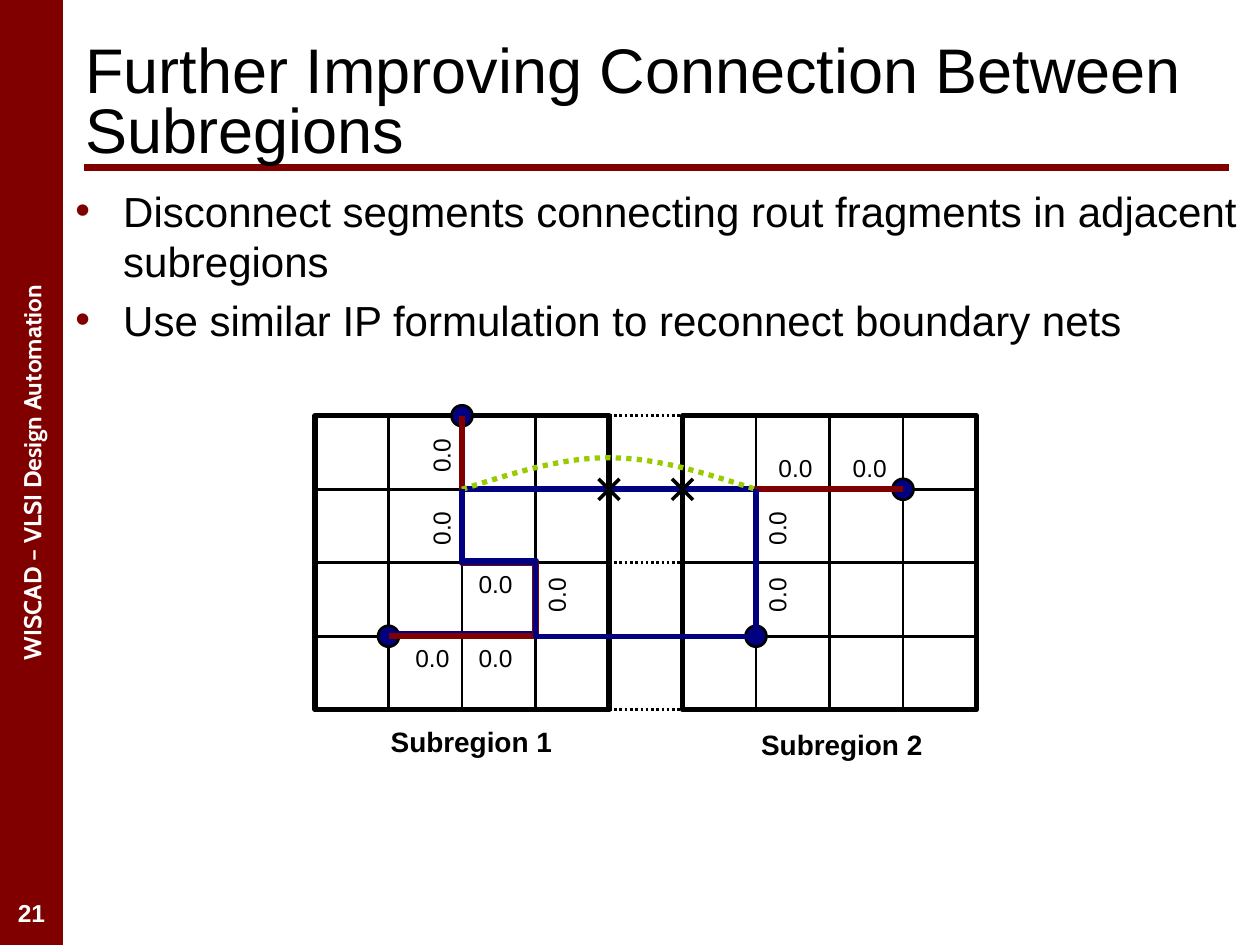
"""Builds a slide on reconnecting routes between two subregions."""
from lxml.etree import SubElement
from pptx import Presentation
from pptx.dml.color import RGBColor
from pptx.enum.dml import MSO_LINE
from pptx.enum.shapes import MSO_CONNECTOR, MSO_SHAPE
from pptx.enum.text import MSO_ANCHOR, PP_ALIGN
from pptx.oxml.ns import qn
from pptx.util import Inches, Pt

HUES = {"red": "800000", "navy": "000080", "lime": "99CC00",
        "black": "000000", "white": "FFFFFF"}
TITLE = "Further Improving Connection Between Subregions"
SIDE = "WISCAD – VLSI Design Automation"
PAGE = "21"
POINTS = ["Disconnect segments connecting rout fragments in adjacent subregions",
          "Use similar IP formulation to reconnect boundary nets"]

LEFT, TOP, STEP = 2.5, 3.3, 7 / 12
SIZE = 4
STARTS = [5, 0]
PINS = [(1, 3), (8, 1), (2, 0), (6, 3)]
CUTS = [(4, 1), (5, 1)]
MARK = 1 / 7
LOWER = [(1, 3), (3, 3), (3, 2), (2, 2), (2, 0)]
UPPER = [(8, 1), (6, 1), (6, 3)]
LINK = [(2, 1), (6, 1)]
DETOUR = [(2, 1), (2, 2), (3, 2), (3, 3), (6, 3), (6, 1)]
ARC = [[(2, 1), (2.67, 0.79), (3.32, 0.57), (4, 0.57)],
       [(4, 0.57), (4.68, 0.57), (5.33, 0.79), (6, 1)]]
COSTS = {0: [(2.46, 2.29), (2.46, 3.29), (1.6, 3.29), (6.54, 0.71), (7.55, 0.71)],
         270: [(3.28, 2.44), (1.71, 1.53), (1.71, 0.54), (6.28, 2.44), (6.28, 1.53)]}
NAMES = {"Subregion 1": (2.13, 4.43), "Subregion 2": (7.17, 4.47)}

deck = Presentation()
deck.slide_width, deck.slide_height = Inches(10), Inches(7.5)
slide = deck.slides.add_slide(deck.slide_layouts[6])
shapes = slide.shapes


def hue(name):
    return RGBColor.from_string(HUES[name])


def spot(col, row):
    return Inches(LEFT + col * STEP), Inches(TOP + row * STEP)


def pen(shape, color, width, dash=None):
    shape.line.color.rgb = hue(color)
    shape.line.width = Pt(width)
    if dash:
        shape.line.dash_style = dash


def line(start, end, color, width, dash=None):
    wire = shapes.add_connector(MSO_CONNECTOR.STRAIGHT, *start, *end)
    pen(wire, color, width, dash)
    SubElement(wire._element.spPr, qn("a:effectLst"))


def edge(start, end, color="black", width=1.5, dash=None):
    line(spot(*start), spot(*end), color, width, dash)


def block(kind, box, fill=None):
    shape = shapes.add_shape(kind, *box)
    shape.shadow.inherit = False
    if fill:
        shape.fill.solid()
        shape.fill.fore_color.rgb = hue(fill)
    else:
        shape.fill.background()
    return shape


def route(nodes, color, width=3.5, dash=None):
    first, *rest = [spot(*node) for node in nodes]
    path = shapes.build_freeform(*first)
    path.add_line_segments(rest, close=False)
    shape = path.convert_to_shape()
    shape.shadow.inherit = False
    shape.fill.background()
    pen(shape, color, width, dash)


def bend(ends, share):
    rest = 1 - share
    weights = (rest ** 3, 3 * rest ** 2 * share, 3 * rest * share ** 2, share ** 3)
    return tuple(sum(w * v for w, v in zip(weights, axis)) for axis in zip(*ends))


def style(para, size, color="black", bold=False, face="Arial"):
    font = para.font
    font.name, font.size, font.bold = face, Pt(size), bold
    font.color.rgb = hue(color)


def text(box, words, size, wrap=True, align=PP_ALIGN.LEFT, **look):
    shape = shapes.add_textbox(*box)
    frame = shape.text_frame
    frame.word_wrap = wrap
    for i, item in enumerate(words):
        para = frame.paragraphs[0] if i == 0 else frame.add_paragraph()
        para.text, para.alignment = item, align
        style(para, size, **look)
    return shape


def label(word, node, wide, high, size, turn=0, bold=False):
    x, y = spot(*node)
    w, h = Inches(wide), Inches(high)
    box = (x - w // 2, y - h // 2, w, h)
    text(box, [word], size, wrap=False, bold=bold).rotation = turn


def dot(para):
    props = para._p.get_or_add_pPr()
    props.set("marL", str(Inches(0.38)))
    props.set("indent", str(-Inches(0.38)))
    tint = SubElement(props, qn("a:buClr"))
    SubElement(tint, qn("a:srgbClr")).set("val", HUES["red"])
    SubElement(props, qn("a:buFont")).set("typeface", "Arial")
    SubElement(props, qn("a:buChar")).set("char", "•")


def frame():
    bar = block(MSO_SHAPE.RECTANGLE, map(Inches, (-3.5, 3.5, 7.5, 0.5)), "red")
    bar.line.fill.background()
    bar.rotation = 270
    bar.text_frame.word_wrap = False
    bar.text_frame.vertical_anchor = MSO_ANCHOR.MIDDLE
    para = bar.text_frame.paragraphs[0]
    para.text, para.alignment = SIDE, PP_ALIGN.CENTER
    style(para, 14, "white", True, "Cabin")
    rule = Inches(1.33)
    line((Inches(0.67), rule), (Inches(9.75), rule), "red", 4)
    text(map(Inches, (0, 7.08, 0.5, 0.33)), [PAGE], 14,
         align=PP_ALIGN.CENTER, color="white", bold=True)


def words():
    body = shapes.add_textbox(*map(Inches, (0.5, 1.42, 9.5, 5.83))).text_frame
    body.word_wrap = True
    for i, item in enumerate(POINTS):
        para = body.add_paragraph() if i else body.paragraphs[0]
        para.text = item
        dot(para)
        if i:
            para.space_before = Pt(4.8)
        style(para, 24)
    head = text(map(Inches, (0.58, 0.42, 9.17, 0.83)), [TITLE], 36).text_frame
    head.vertical_anchor = MSO_ANCHOR.MIDDLE
    head.paragraphs[0].line_spacing = 0.8


def grids():
    side = Inches(SIZE * STEP)
    for start in STARTS:
        for i in range(1, SIZE):
            edge((start + i, 0), (start + i, SIZE))
            edge((start, i), (start + SIZE, i))
        box = block(MSO_SHAPE.RECTANGLE, (*spot(start, 0), side, side))
        pen(box, "black", 3)
    for row in range(SIZE + 1):
        edge((4, row), (5, row), dash=MSO_LINE.ROUND_DOT)


def routes():
    wide = Inches(2 * MARK * STEP)
    for col, row in PINS:
        pin = block(MSO_SHAPE.OVAL, (*spot(col - MARK, row - MARK), wide, wide), "navy")
        pen(pin, "black", 1.5)
    route([(col, row - 0.03) for col, row in LOWER], "navy")
    route(UPPER, "navy")
    edge(*LINK, "navy", 3.5)
    for col, row in CUTS:
        for tilt in (MARK, -MARK):
            edge((col - MARK, row - tilt), (col + MARK, row + tilt), width=2)
    route(LOWER, "red")
    route(UPPER, "red")
    arc = [bend(half, i / 12) for half in ARC for i in range(12)] + [LINK[1]]
    route(arc, "lime", 3, MSO_LINE.ROUND_DOT)
    route(DETOUR, "navy", 3)


def labels():
    for name, node in NAMES.items():
        label(name, node, 1.48, 0.37, 16, bold=True)
    for turn, nodes in COSTS.items():
        for node in nodes:
            label("0.0", node, 0.47, 0.33, 14, turn)


def main():
    for part in (frame, words, grids, routes, labels):
        part()
    deck.save("out.pptx")


if __name__ == "__main__":
    main()
